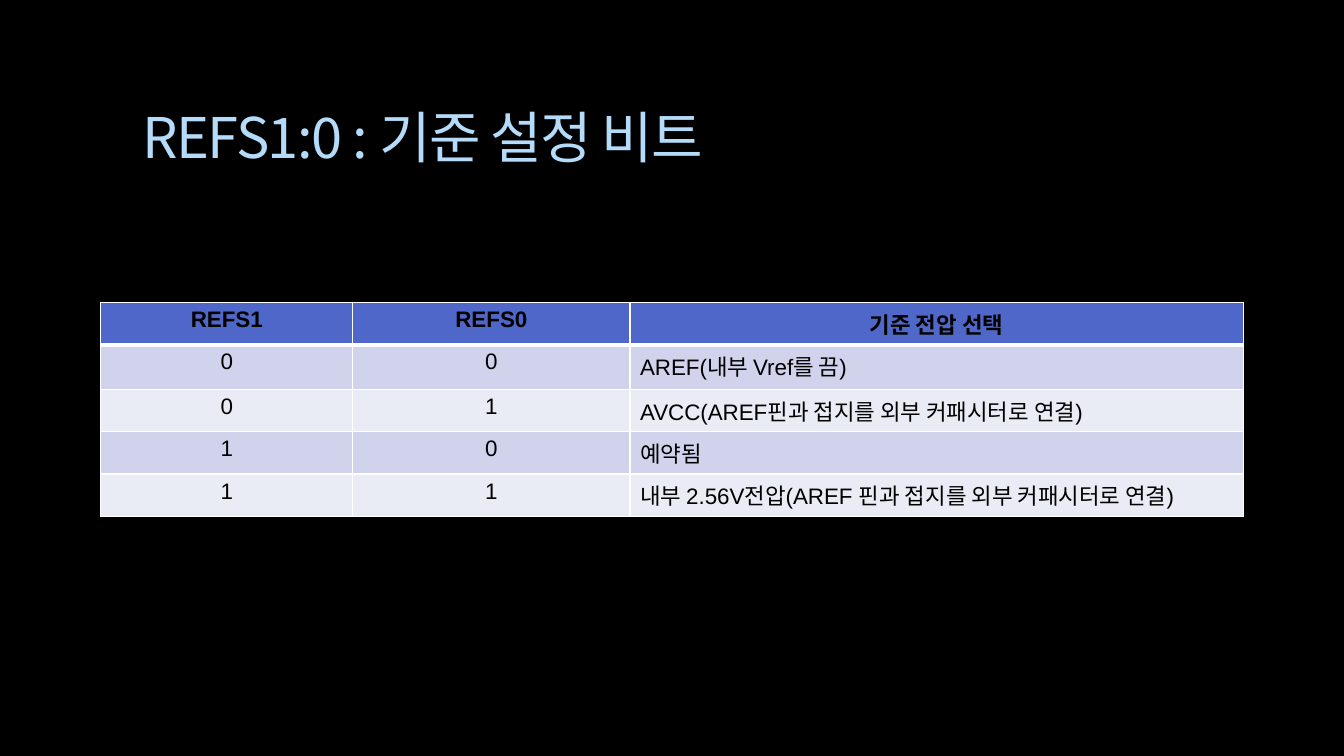
import pptx
import pptx.dml.color
import pptx.enum.text
import pptx.oxml
import pptx.oxml.ns
import pptx.util

Pt = pptx.util.Pt
RGB = pptx.dml.color.RGBColor.from_string
ALIGN = pptx.enum.text.PP_ALIGN
ANCHOR = pptx.enum.text.MSO_ANCHOR

TITLE = "REFS1:0 : 기준 설정 비트"
ROWS = [
    ("REFS1", "REFS0", "기준 전압 선택"),
    ("0", "0", "AREF(내부 Vref를 끔)"),
    ("0", "1", "AVCC(AREF핀과 접지를 외부 커패시터로 연결)"),
    ("1", "0", "예약됨"),
    ("1", "1", "내부 2.56V전압(AREF 핀과 접지를 외부 커패시터로 연결)"),
]
COLORS = {
    "background": "000000",
    "title": "B4DCFA",
    "text": "000000",
    "header": "4E67C8",
    "odd": "D0D3EB",
    "even": "E9EBF5",
    "border": "FFFFFF",
}
KOREAN_FONT = "Noto Sans CJK KR"
TITLE_FONT = {"name": KOREAN_FONT, "size": Pt(40), "bold": False}
CELL_FONT = {"name": "Arial", "size": Pt(16)}
TITLE_BOX = {"left": Pt(94.3), "top": Pt(75), "width": Pt(816), "height": Pt(72)}
TABLE_LEFT, TABLE_TOP = 72, 216
COLUMN_WIDTHS = [180, 198, 438]
ROW_HEIGHTS = [29.5, 31.7, 29.5, 29.5, 29.5]


def set_values(target, values):
    for name, value in values.items():
        setattr(target, name, value)


def write(paragraph, text, font_values, color):
    run = paragraph.add_run()
    run.text = text
    set_values(run.font, font_values)
    run.font.color.rgb = RGB(COLORS[color])
    properties = run._r.get_or_add_rPr()
    east_asian = pptx.oxml.parse_xml(
        f'<a:ea {pptx.oxml.ns.nsdecls("a")} typeface="{KOREAN_FONT}"/>')
    properties.append(east_asian)
    return properties


def add_borders(cell, widths):
    properties = cell._tc.get_or_add_tcPr()
    for side, width in widths.items():
        properties.append(pptx.oxml.parse_xml(
            f'<a:ln{side} {pptx.oxml.ns.nsdecls("a")} w="{Pt(width)}"><a:solidFill>'
            f'<a:srgbClr val="{COLORS["border"]}"/></a:solidFill></a:ln{side}>'))


def add_title(slide):
    title = slide.shapes.title
    set_values(title, TITLE_BOX)
    set_values(title.text_frame, {"word_wrap": True, "vertical_anchor": ANCHOR.TOP})
    paragraph = title.text_frame.paragraphs[0]
    set_values(paragraph, {"alignment": ALIGN.LEFT, "line_spacing": 0.9})
    write(paragraph, TITLE, TITLE_FONT, "title").set("spc", "-100")


def add_reference_table(slide):
    frame = slide.shapes.add_table(
        len(ROWS), len(COLUMN_WIDTHS), Pt(TABLE_LEFT), Pt(TABLE_TOP),
        Pt(sum(COLUMN_WIDTHS)), Pt(sum(ROW_HEIGHTS)))
    table = frame.table
    for column, width in zip(table.columns, COLUMN_WIDTHS):
        column.width = Pt(width)
    for row, height in zip(table.rows, ROW_HEIGHTS):
        row.height = Pt(height)
    for row_index, texts in enumerate(ROWS):
        header = row_index == 0
        fill = "header" if header else ("even", "odd")[row_index % 2]
        borders = {"L": 1, "R": 1, "T": 3 if row_index == 1 else 1, "B": 3 if header else 1}
        for column_index, text in enumerate(texts):
            cell = table.cell(row_index, column_index)
            add_borders(cell, borders)
            cell.fill.solid()
            cell.fill.fore_color.rgb = RGB(COLORS[fill])
            paragraph = cell.text_frame.paragraphs[0]
            centered = header or column_index < 2
            paragraph.alignment = ALIGN.CENTER if centered else ALIGN.LEFT
            write(paragraph, text, {**CELL_FONT, "bold": header}, "text")


def main():
    presentation = pptx.Presentation()
    set_values(presentation, {"slide_width": Pt(960), "slide_height": Pt(540)})
    slide = presentation.slides.add_slide(presentation.slide_layouts[5])
    slide.background.fill.solid()
    slide.background.fill.fore_color.rgb = RGB(COLORS["background"])
    add_title(slide)
    add_reference_table(slide)
    presentation.save("out.pptx")


if __name__ == "__main__":
    main()
